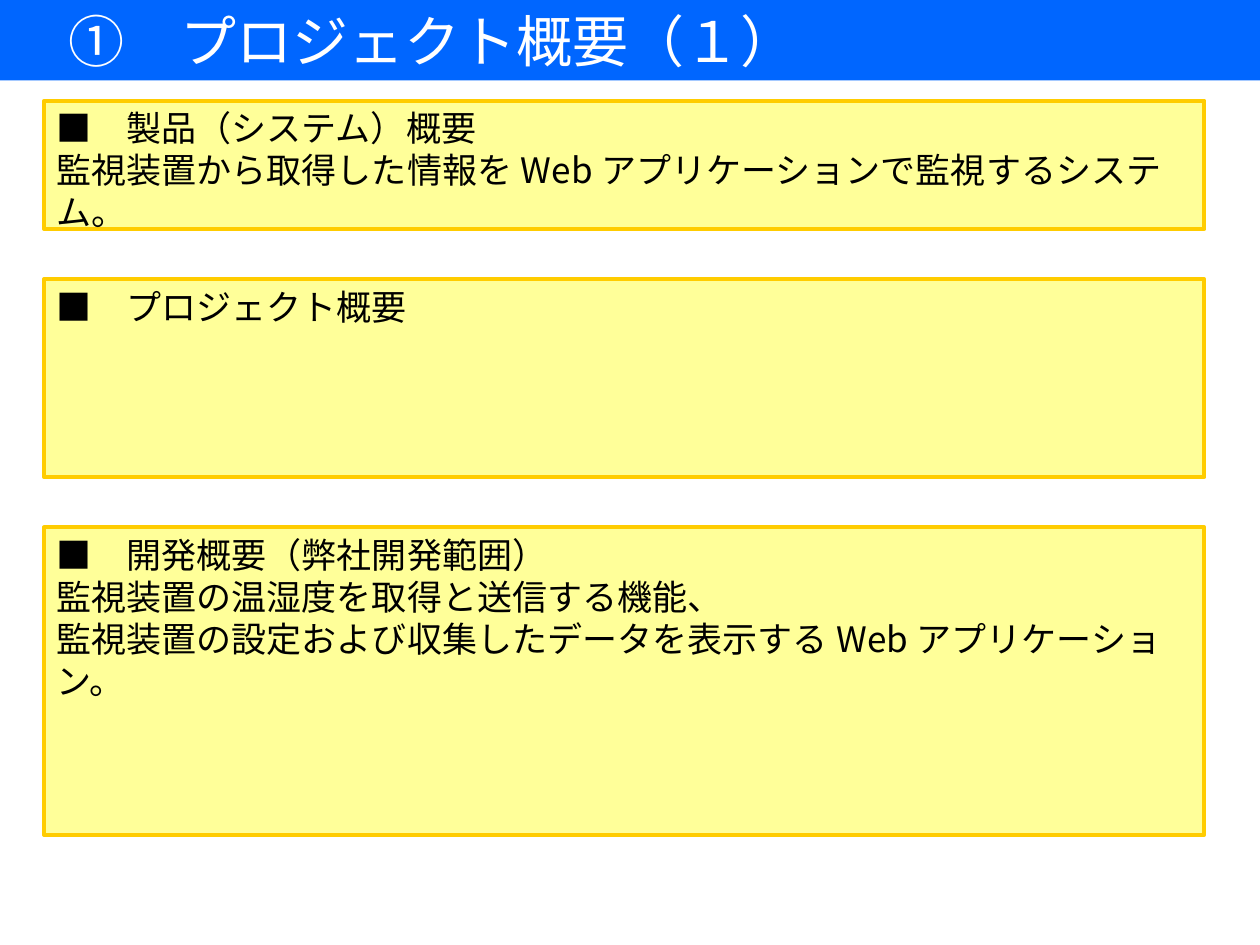
"""Build the project overview slide: a title band above three framed notes."""
from dataclasses import dataclass

from lxml import etree
from pptx import Presentation
from pptx.dml.color import RGBColor
from pptx.enum.lang import MSO_LANGUAGE_ID
from pptx.enum.shapes import MSO_SHAPE
from pptx.enum.text import MSO_ANCHOR, PP_ALIGN
from pptx.oxml.ns import qn
from pptx.util import Cm, Pt

RECT, ROUND = MSO_SHAPE.RECTANGLE, MSO_SHAPE.ROUNDED_RECTANGLE
TOP, MIDDLE = MSO_ANCHOR.TOP, MSO_ANCHOR.MIDDLE
LEFT = PP_ALIGN.LEFT
JAPANESE = MSO_LANGUAGE_ID.JAPANESE

TITLE = "　①　プロジェクト概要（１）"
NOTES = [
    (2.59, ["■　製品（システム）概要",
            "監視装置から取得した情報をWebアプリケーションで監視するシステム。"]),
    (3.99, ["■　プロジェクト概要"]),
    (6.2, ["■　開発概要（弊社開発範囲）",
           "監視装置の温湿度を取得と送信する機能、",
           "監視装置の設定および収集したデータを表示するWebアプリケーション。"]),
]
WIDTH, HEIGHT, BAND = 25.4, 19.05, 1.62
SIDE, START, SPAN, GAP = 0.89, 2.03, 23.39, 1.01


@dataclass(frozen=True)
class Theme:
    band: str = "0066FF"
    note: str = "FFFF99"
    frame: str = "FFCC00"
    light: str = "FFFFFF"
    dark: str = "000000"
    head: int = 32
    body: int = 20
    edge: float = 2.25
    lead: float = 1.2
    serif: str = "Times New Roman"
    sans: str = "Noto Sans CJK JP"


THEME = Theme()


def rgb(code):
    return RGBColor.from_string(code)


def add_box(slide, kind, place, fill):
    box = slide.shapes.add_shape(kind, *map(Cm, place))
    box.shadow.inherit = False
    box.fill.solid()
    box.fill.fore_color.rgb = rgb(fill)
    box.line.fill.background()
    return box


def write(box, lines, size, face, color, anchor):
    frame = box.text_frame
    frame.word_wrap = True
    frame.vertical_anchor = anchor
    frame.text = "\n".join(lines)
    for para in frame.paragraphs:
        para.alignment = LEFT
        para.line_spacing = Pt(size * THEME.lead)
        font = para.font
        font.size = Pt(size)
        font.name = face
        font.color.rgb = rgb(color)
        font.language_id = JAPANESE
    for latin in list(box.element.iter(qn("a:latin"))):
        east = etree.Element(qn("a:ea"), typeface=THEME.sans)
        latin.addnext(east)


def main():
    deck = Presentation()
    deck.slide_width, deck.slide_height = Cm(WIDTH), Cm(HEIGHT)
    slide = deck.slides.add_slide(deck.slide_layouts[6])

    band = add_box(slide, RECT, (0, 0, WIDTH, BAND), THEME.band)
    write(band, [TITLE], THEME.head, THEME.serif, THEME.light, MIDDLE)

    top = START
    for height, lines in NOTES:
        note = add_box(slide, ROUND, (SIDE, top, SPAN, height), THEME.note)
        note.adjustments[0] = 0
        note.line.color.rgb = rgb(THEME.frame)
        note.line.width = Pt(THEME.edge)
        write(note, lines, THEME.body, THEME.sans, THEME.dark, TOP)
        top += height + GAP

    deck.save("out.pptx")


if __name__ == "__main__":
    main()
